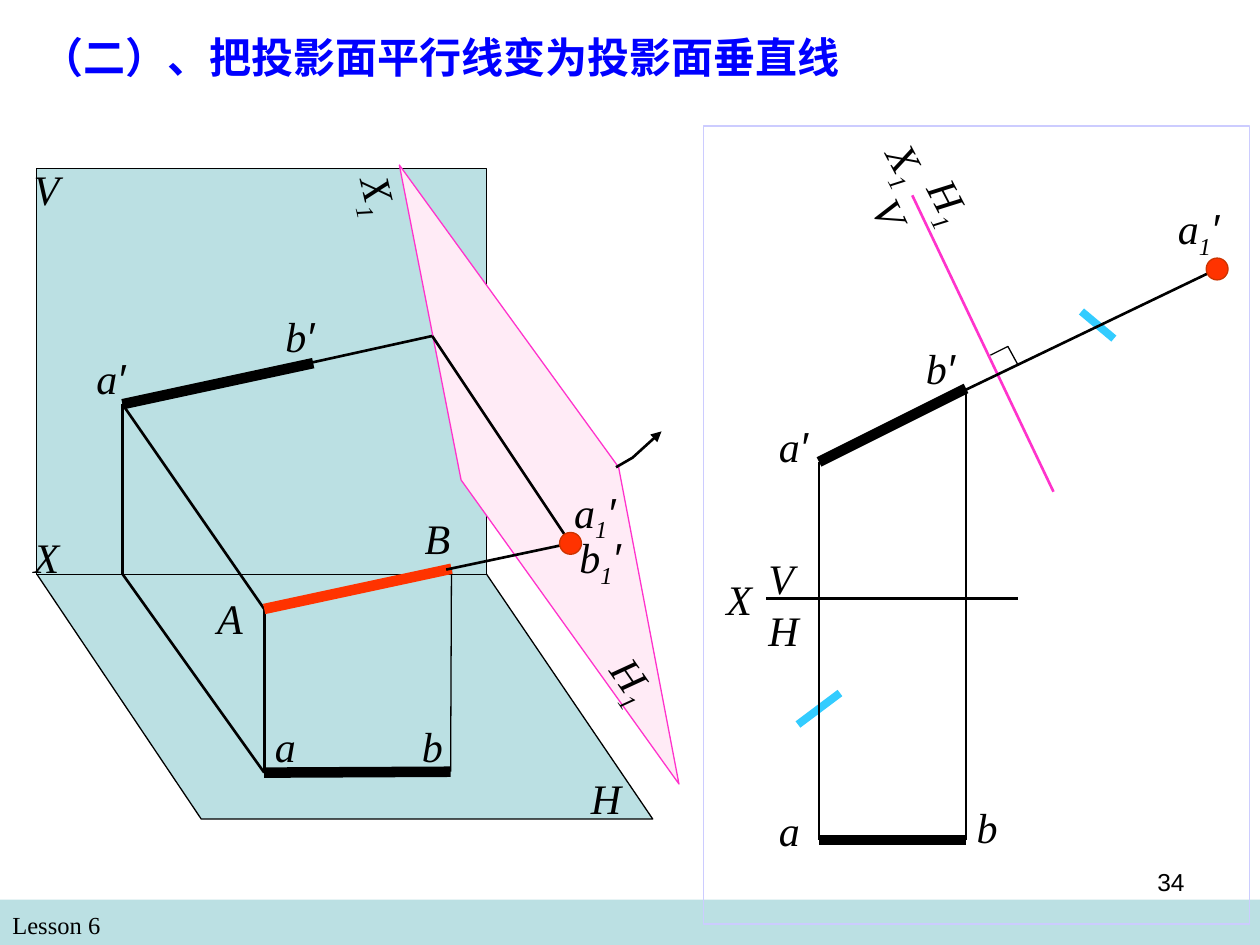
"""Build the slide on turning a parallel line into a perpendicular line."""
from dataclasses import dataclass
from typing import NamedTuple

from lxml import etree
from pptx import Presentation
from pptx import util as u
from pptx.dml.color import RGBColor
from pptx.enum import shapes, text
from pptx.oxml import ns


@dataclass(frozen=True)
class Theme:
    """Colours, fonts and sizes."""
    plane: str = "BBE0E3"
    new_plane: str = "FFEBF6"
    new_edge: str = "FF33CC"
    red: str = "FF3300"
    red_edge: str = "CC3300"
    tick: str = "33CCFF"
    frame: str = "CCCCFF"
    ink: str = "000000"
    title: str = "0000FF"
    serif: str = "Times New Roman"
    sans: str = "Arial"
    chinese: str = "Noto Sans CJK SC"
    large: float = 24
    small: float = 14
    hairline: float = 0.75
    line: float = 1.5
    tick_line: float = 4.5
    bold_line: float = 6


THEME = Theme()


class Point(NamedTuple):
    """A position in points."""
    x: float
    y: float


class Label(NamedTuple):
    """A letter beside the drawing."""
    words: str
    left: float
    top: float
    width: float = 46
    rotation: float = 0


class Stroke(NamedTuple):
    """A straight line."""
    start: Point
    end: Point
    colour: str = THEME.ink
    weight: float = THEME.line


def paint(shape, fill: str | None, edge: str | None, weight: float = THEME.hairline) -> None:
    """Set fill and outline, and take off the shadow."""
    shape.shadow.inherit = False
    if fill:
        shape.fill.solid()
        shape.fill.fore_color.rgb = RGBColor.from_string(fill)
    else:
        shape.fill.background()
    if edge:
        shape.line.color.rgb = RGBColor.from_string(edge)
        shape.line.width = u.Pt(weight)
    else:
        shape.line.fill.background()


def draw_shape(slide, kind, box: tuple, fill: str | None, edge: str | None) -> None:
    """Draw a preset shape in a box of left, top, width and height."""
    paint(slide.shapes.add_shape(kind, *map(u.Pt, box)), fill, edge)


def draw_path(slide, points: list, fill: str | None, edge: str, weight: float = THEME.hairline):
    """Draw a polygon when filled and an open path otherwise."""
    first, *rest = [(u.Pt(x), u.Pt(y)) for x, y in points]
    builder = slide.shapes.build_freeform(*first)
    builder.add_line_segments(rest, close=fill is not None)
    shape = builder.convert_to_shape()
    paint(shape, fill, edge, weight)
    return shape


def draw_stroke(slide, stroke: Stroke) -> None:
    """Draw a straight connector without a shadow."""
    connector = slide.shapes.add_connector(
        shapes.MSO_CONNECTOR.STRAIGHT, *map(u.Pt, (*stroke.start, *stroke.end)))
    connector.line.color.rgb = RGBColor.from_string(stroke.colour)
    connector.line.width = u.Pt(stroke.weight)
    etree.SubElement(connector._element.spPr, ns.qn("a:effectLst"))


def draw_ball(slide, centre: Point, size: float = 12.5) -> None:
    """Draw a red point where the line is seen end on."""
    box = (centre.x - size / 2, centre.y - size / 2, size, size)
    draw_shape(slide, shapes.MSO_SHAPE.OVAL, box, THEME.red, THEME.red_edge)


def write(shape, parts: list, *, size: float, font: str, colour: str = THEME.ink,
          bold: bool = False, italic: bool = False, wrap: bool = True,
          align=text.PP_ALIGN.LEFT) -> None:
    """Write runs into a shape, lowering a 1 and setting a prime upright in sans."""
    frame = shape.text_frame
    frame.auto_size = text.MSO_AUTO_SIZE.NONE
    frame.word_wrap = wrap
    frame.vertical_anchor = text.MSO_ANCHOR.TOP
    paragraph = frame.paragraphs[0]
    paragraph.alignment = align
    paragraph.space_before = u.Pt(0)
    paragraph.line_spacing = 1.0
    for part in parts:
        run = paragraph.add_run()
        run.text = part
        run.font.size = u.Pt(size)
        run.font.bold, run.font.italic = bold, italic
        run.font.color.rgb = RGBColor.from_string(colour)
        run.font.name = THEME.sans if part == "′" else font
        properties = run._r.get_or_add_rPr()
        etree.SubElement(properties, ns.qn("a:ea")).set("typeface", run.font.name)
        if part == "1":
            properties.set("baseline", "-25000")


def draw_label(slide, label: Label) -> None:
    """Draw an italic letter, turned when its axis is turned."""
    height = 40.3 if "1" in label.words else 36
    box = slide.shapes.add_textbox(*map(u.Pt, (label.left, label.top, label.width, height)))
    box.rotation = label.rotation
    write(box, list(label.words), size=THEME.large, font=THEME.serif, italic=True)


def draw_space_view(slide) -> None:
    """Draw the planes and the line in space."""
    rectangle = shapes.MSO_SHAPE.RECTANGLE
    draw_path(slide, [(278, 328), (373, 468), (115, 468), (21, 328)], THEME.plane, THEME.ink)
    draw_shape(slide, rectangle, (21, 96.5, 257, 232), THEME.plane, THEME.ink)
    foot, front_a, front_b = Point(70, 328), Point(70, 231), Point(179, 207.5)
    space_a, space_b = Point(151, 348), Point(258, 325)
    top_a, top_b = Point(151, 441.5), Point(257.5, 441)
    fold, ball = Point(247, 192), Point(326, 310.5)
    for stroke in (
        Stroke(front_a, foot), Stroke(foot, top_a), Stroke(front_a, space_a),
        Stroke(space_a, top_a), Stroke(space_b, top_b, weight=THEME.hairline),
        Stroke(top_a, top_b, weight=THEME.bold_line),
        Stroke(front_a, front_b, weight=THEME.bold_line),
        Stroke(space_a, space_b, THEME.red, THEME.bold_line),
    ):
        draw_stroke(slide, stroke)
    draw_path(slide, [(228.2, 94.3), (263.5, 274.3), (388, 448), (353.5, 267)],
              THEME.new_plane, THEME.new_edge)
    arrow = draw_path(slide, [(352, 267), (361.5, 261.5), (367, 256.5), (378, 246.5)],
                      None, THEME.ink, THEME.line)
    etree.SubElement(arrow.line._get_or_add_ln(), ns.qn("a:tailEnd")).set("type", "triangle")
    for start, end in ((front_a, fold), (Point(255, 325.5), ball), (fold, ball)):
        draw_stroke(slide, Stroke(start, end))
    draw_ball(slide, ball)
    for label in (
        Label("V", 12.2, 90), Label("H", 330.5, 438), Label("X", 12.2, 300),
        Label("a′", 48, 198), Label("A", 117, 335), Label("a", 150, 408),
        Label("b′", 156, 174), Label("B", 235.5, 289.5), Label("b", 234, 408),
        Label("H1", 338.4, 375.1, 52.6, 55.3), Label("X1", 195.1, 95, 41.8, 76.8),
        Label("a1′", 321, 274.3, 76), Label("b1′", 324, 300.2, 59),
    ):
        draw_label(slide, label)


def draw_projection_view(slide) -> None:
    """Draw the flat projections and the new axis."""
    draw_shape(slide, shapes.MSO_SHAPE.RECTANGLE, (402, 72, 312, 456), None, THEME.frame)
    front_a, front_b = Point(468, 264), Point(552, 222)
    top_a, top_b = Point(468, 480), Point(552, 480)
    ball = Point(695.5, 153.7)
    for stroke in (
        Stroke(Point(521.3, 111.6), Point(602, 281), THEME.new_edge),
        Stroke(Point(618, 178), Point(636.5, 193.5), THEME.tick, THEME.tick_line),
        Stroke(Point(480, 396), Point(456, 414), THEME.tick, THEME.tick_line),
        Stroke(top_a, top_b, weight=THEME.bold_line),
        Stroke(front_a, front_b, weight=THEME.bold_line),
        Stroke(Point(438, 342), Point(582, 342)),
        Stroke(front_a, top_a), Stroke(top_b, front_b), Stroke(Point(516, 240), ball),
    ):
        draw_stroke(slide, stroke)
    draw_path(slide, [(566, 203), (576, 198), (582, 209)], None, THEME.ink)
    draw_ball(slide, ball)
    for label in (
        Label("X1", 485.3, 97.2, 87.8, 62.2), Label("H1", 519.1, 100.1, 49, 62.6),
        Label("V", 488.9, 113, 49, 65), Label("X", 408, 324), Label("V", 432, 312),
        Label("H", 432, 342), Label("a′", 438, 237), Label("a", 438, 456),
        Label("a1′", 666, 112.3, 50), Label("b′", 522, 192), Label("b", 551, 454.3),
    ):
        draw_label(slide, label)


def main() -> None:
    """Build and save the presentation."""
    presentation = Presentation()
    presentation.slide_width, presentation.slide_height = u.Pt(720), u.Pt(540)
    slide = presentation.slides.add_slide(presentation.slide_layouts[5])
    title = slide.shapes.title
    title.left, title.top, title.width, title.height = map(u.Pt, (16.5, 14.4, 482.5, 36))
    write(title, ["（二）、把投影面平行线变为投影面垂直线"], size=THEME.large,
          font=THEME.chinese, colour=THEME.title, bold=True, wrap=False)
    draw_shape(slide, shapes.MSO_SHAPE.RECTANGLE, (0, 514, 720, 26), THEME.plane, None)
    footer = slide.shapes.add_textbox(*map(u.Pt, (0, 516.2, 348, 24)))
    write(footer, ["Lesson 6"], size=THEME.small, font=THEME.serif)
    draw_space_view(slide)
    draw_projection_view(slide)
    number = slide.shapes.add_textbox(*map(u.Pt, (516, 492, 168, 37.5)))
    write(number, ["34"], size=THEME.small, font=THEME.sans, align=text.PP_ALIGN.RIGHT)
    presentation.save("out.pptx")


if __name__ == "__main__":
    main()
